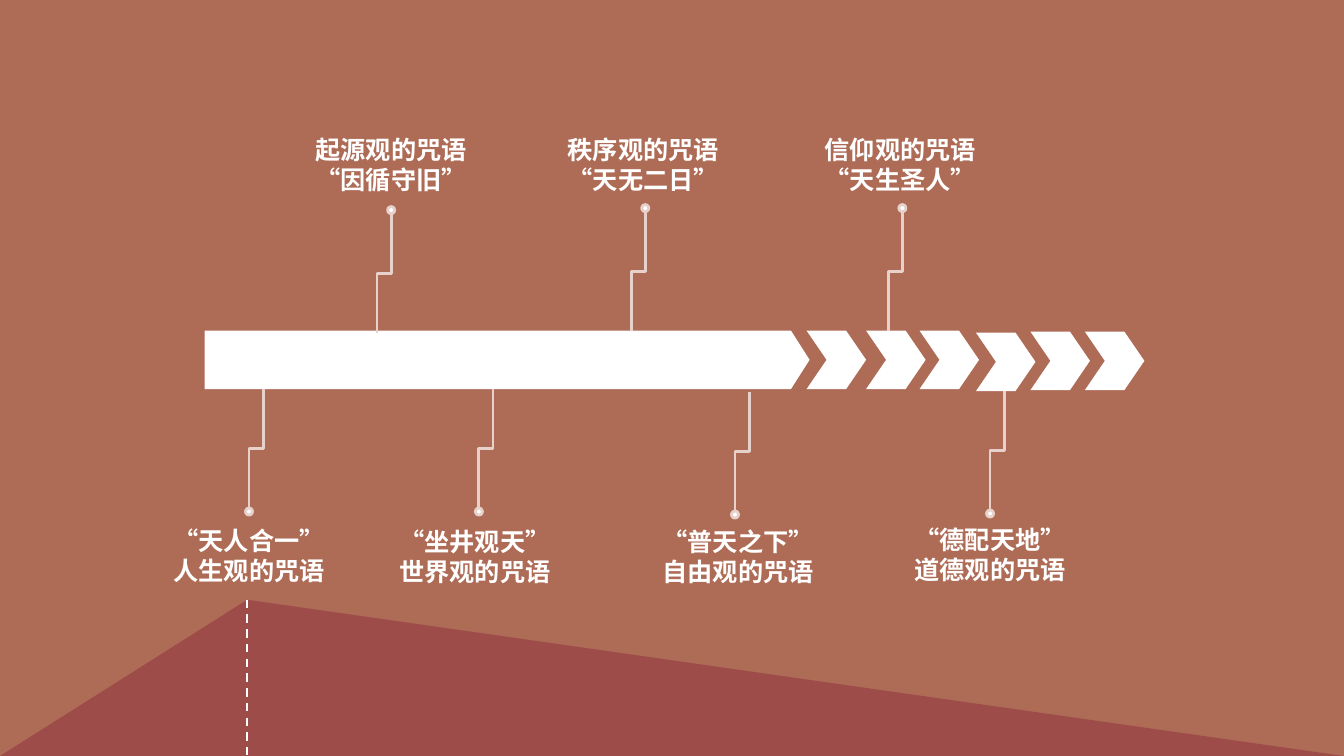
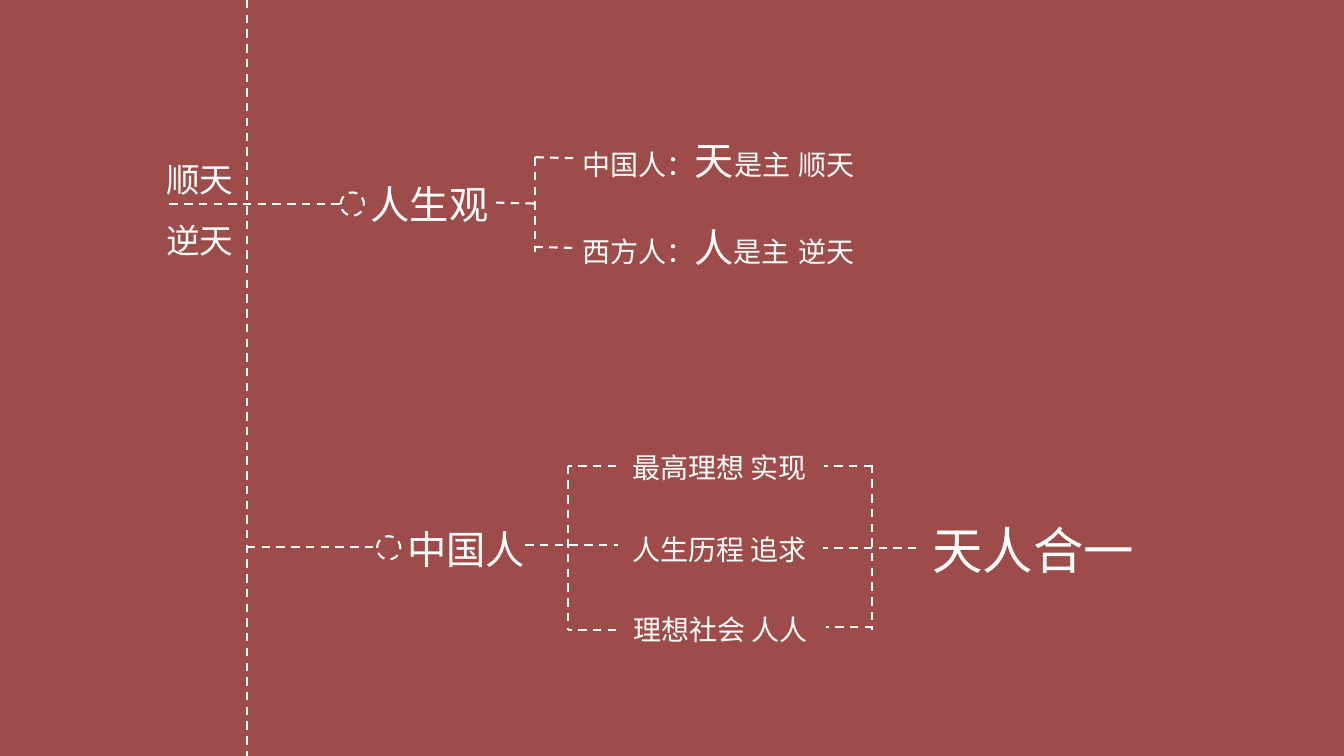
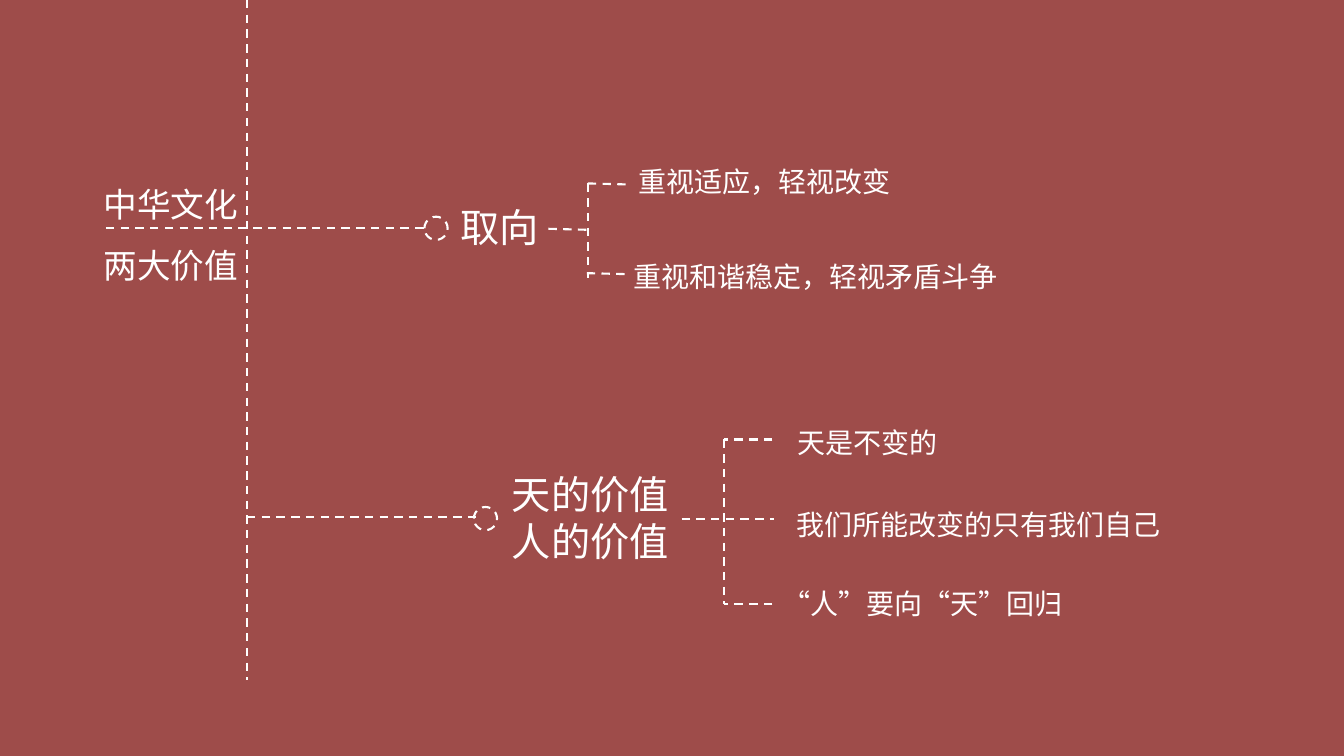
from pptx import Presentation
from pptx.dml.color import RGBColor
from pptx.enum.dml import MSO_LINE
from pptx.enum.shapes import MSO_CONNECTOR as CONN, MSO_SHAPE as SHAPE
from pptx.enum.text import MSO_AUTO_SIZE, PP_ALIGN
from pptx.oxml.ns import qn
from pptx.util import Inches, Pt

FONT = "Noto Sans CJK SC"
WHITE = RGBColor(0xFF, 0xFF, 0xFF)
CLAY = RGBColor(0xAE, 0x6C, 0x56)
BRICK = RGBColor(0x9E, 0x4C, 0x4A)
BLUSH = RGBColor(0xE6, 0xD1, 0xCB)
SLIDE_W, SLIDE_H = 13.33, 7.5
SPINE_X = 2.45

CHEVRONS = [(8, 3.28), (8.59, 3.28), (9.12, 3.28), (9.68, 3.3), (10.22, 3.29), (10.76, 3.29)]
PIN_W, PIN_H, DOT = 0.14, 1.18, 0.07
PINS_ABOVE = [
    (3.74, 2.12, 2.95, 1.28, ["起源观的咒语", "“因循守旧”"]),
    (6.26, 2.1, 5.45, 1.28, ["秩序观的咒语", "“天无二日”"]),
    (8.81, 2.1, 8, 1.28, ["信仰观的咒语", "“天生圣人”"]),
]
PINS_BELOW = [
    (2.47, 3.86, 1.54, 5.16, ["“天人合一”", "人生观的咒语"]),
    (4.75, 3.86, 3.78, 5.17, ["“坐井观天”", "世界观的咒语"]),
    (7.29, 3.89, 6.39, 5.17, ["“普天之下”", "自由观的咒语"]),
    (9.82, 3.88, 8.89, 5.15, ["“德配天地”", "道德观的咒语"]),
]

TWO_WAY = [(0, 0, 0.4, 0.01), (0.39, -0.45, 0.39, 0.49),
           (0.39, -0.45, 0.79, -0.44), (0.38, 0.44, 0.78, 0.45)]
THREE_WAY = [(0, 0, 0.92, 0), (0.42, -0.79, 0.42, 0.84),
             (0.9, 0.84, 0.42, 0.84), (0.9, -0.79, 0.42, -0.79)]

TREES = [
    {
        "lines": [(SPINE_X, 0, SPINE_X, 7.5), (1.68, 2.02, 3.38, 2.02), (SPINE_X, 5.43, 3.74, 5.43),
                  (9.09, 5.44, 8.16, 5.44), (8.65, 4.61, 8.65, 6.25),
                  (8.65, 4.62, 8.17, 4.62), (8.66, 6.22, 8.19, 6.22)],
        "brackets": [(4.92, 2.01, TWO_WAY), (5.21, 5.41, THREE_WAY)],
        "rings": [(3.38, 1.91), (3.74, 5.32)],
        "root": (1.55, 1.33, 1.18, 1.24, ["顺天逆天"]),
        "labels": [
            (3.58, 1.74, 1.74, 0.57, [("人生观", 28)]),
            (5.68, 1.3, 3.91, 0.57, [("中国人：", 20), ("天", 28), ("是主", 20), (" ", 28), ("顺天", 20)]),
            (5.68, 2.17, 4.56, 0.57, [("西方人：", 20), ("人", 28), ("是主", 20), (" ", 28), ("逆天", 20)]),
            (3.94, 5.16, 1.74, 0.57, [("中国人", 28)]),
            (6.17, 4.42, 3.91, 0.44, [("最高理想 实现", 20)]),
            (6.17, 5.23, 3.91, 0.44, [("人生历程 追求", 20)]),
            (6.18, 6.03, 3.91, 0.44, [("理想社会 人人", 20)]),
            (9.15, 5.1, 2.23, 0.71, [("天人合一", 36)]),
        ],
    },
    {
        "lines": [(SPINE_X, 0, SPINE_X, 6.75), (1.05, 2.26, 4.23, 2.26), (SPINE_X, 5.13, 4.72, 5.13)],
        "brackets": [(5.44, 2.27, TWO_WAY), (6.76, 5.15, THREE_WAY)],
        "rings": [(4.21, 2.15), (4.7, 5.03)],
        "root": (0.93, 1.58, 1.66, 1.31, ["中华文化", "两大价值"]),
        "labels": [
            (4.47, 1.97, 1.74, 0.57, [("取向", 28)]),
            (6.23, 1.58, 3.91, 0.44, [("重视适应，轻视改变", 20)]),
            (6.18, 2.53, 3.91, 0.44, [("重视和谐稳定，轻视矛盾斗争", 20)]),
            (4.98, 4.62, 2, 1.04, [("天的价值人的价值", 28)]),
            (7.81, 4.17, 3.91, 0.44, [("天是不变的", 20)]),
            (7.8, 4.99, 3.91, 0.44, [("我们所能改变的只有我们自己", 20)]),
            (7.66, 5.77, 3.91, 0.44, [("“人”要向“天”回归", 20)]),
        ],
    },
]


def add_slide(prs, color):
    s = prs.slides.add_slide(prs.slide_layouts[6])
    s.background.fill.solid()
    s.background.fill.fore_color.rgb = color
    return s


def style_line(line, color, width, dash=None):
    line.color.rgb = color
    line.width = Pt(width)
    if dash:
        line.dash_style = dash


def add_shape(s, kind, x, y, w, h, fill=None, adj=None):
    sp = s.shapes.add_shape(kind, Inches(x), Inches(y), Inches(w), Inches(h))
    sp.shadow.inherit = False
    sp.line.fill.background()
    if fill is None:
        sp.fill.background()
    else:
        sp.fill.solid()
        sp.fill.fore_color.rgb = fill
    if adj is not None:
        sp.adjustments[0] = adj
    return sp


def add_line(s, x1, y1, x2, y2, kind=CONN.STRAIGHT):
    c = s.shapes.add_connector(kind, Inches(x1), Inches(y1), Inches(x2), Inches(y2))
    spPr = c._element.spPr
    style_line(c.line, WHITE, 1.5, MSO_LINE.DASH)
    spPr.append(spPr.makeelement(qn("a:effectLst"), {}))
    return c


def add_text(s, x, y, w, h, paragraphs, align=None, bold=False, spacing=None):
    tf = s.shapes.add_textbox(Inches(x), Inches(y), Inches(w), Inches(h)).text_frame
    tf.word_wrap = True
    tf.auto_size = MSO_AUTO_SIZE.SHAPE_TO_FIT_TEXT
    for i, runs in enumerate(paragraphs):
        p = tf.add_paragraph() if i else tf.paragraphs[0]
        p.alignment = align
        p.line_spacing = spacing
        for text, size in runs:
            r = p.add_run()
            r.text = text
            r.font.size = Pt(size)
            r.font.bold = bold
            r.font.color.rgb = WHITE
            r.font.name = FONT
            rPr = r.font._element
            rPr.append(rPr.makeelement(qn("a:ea"), {"typeface": FONT}))


def add_pin(s, x, y, dot_x, dot_y):
    left, top = x + (PIN_W - PIN_H) / 2, y + (PIN_H - PIN_W) / 2
    c = add_line(s, left, top, left + PIN_H, top + PIN_W, CONN.ELBOW)
    c._element.spPr.find(qn("a:xfrm")).set("rot", "16200000")
    style_line(c.line, BLUSH, 2, MSO_LINE.SOLID)
    dot = add_shape(s, SHAPE.OVAL, dot_x - DOT / 2, dot_y, DOT, DOT, WHITE)
    style_line(dot.line, BLUSH, 2)


def build_timeline(prs):
    s = add_slide(prs, CLAY)
    add_shape(s, SHAPE.PENTAGON, 2.03, 3.28, 6, 0.58, WHITE, 0.318)
    for x, y in CHEVRONS:
        add_shape(s, SHAPE.CHEVRON, x, y, 0.59, 0.58, WHITE, 0.342)
    for x, y, *_ in PINS_ABOVE:
        add_pin(s, x, y, x + PIN_W, y - DOT)
    for x, y, *_ in PINS_BELOW:
        add_pin(s, x, y, x, y + PIN_H)
    for _, _, x, y, texts in PINS_ABOVE + PINS_BELOW:
        add_text(s, x, y, 1.86, 0.71, [[(t, 18)] for t in texts], PP_ALIGN.CENTER, True)
    peak = 5.95
    add_shape(s, SHAPE.ISOSCELES_TRIANGLE, 0, peak, SLIDE_W, SLIDE_H - peak, BRICK, 0.184)
    add_line(s, SPINE_X, peak, SPINE_X, SLIDE_H)


def build_tree(prs, tree):
    s = add_slide(prs, BRICK)
    for ends in tree["lines"]:
        add_line(s, *ends)
    for x, y, strokes in tree["brackets"]:
        for x1, y1, x2, y2 in strokes:
            add_line(s, x + x1, y + y1, x + x2, y + y2)
    for x, y in tree["rings"]:
        ring = add_shape(s, SHAPE.OVAL, x, y, 0.23, 0.23)
        style_line(ring.line, WHITE, 1.5, MSO_LINE.DASH)
    *box, texts = tree["root"]
    add_text(s, *box, [[(t, 24)] for t in texts], spacing=1.5)
    for *box, runs in tree["labels"]:
        add_text(s, *box, [runs])


def main():
    prs = Presentation()
    prs.slide_width, prs.slide_height = Inches(SLIDE_W), Inches(SLIDE_H)
    build_timeline(prs)
    for tree in TREES:
        build_tree(prs, tree)
    prs.save("out.pptx")


if __name__ == "__main__":
    main()
